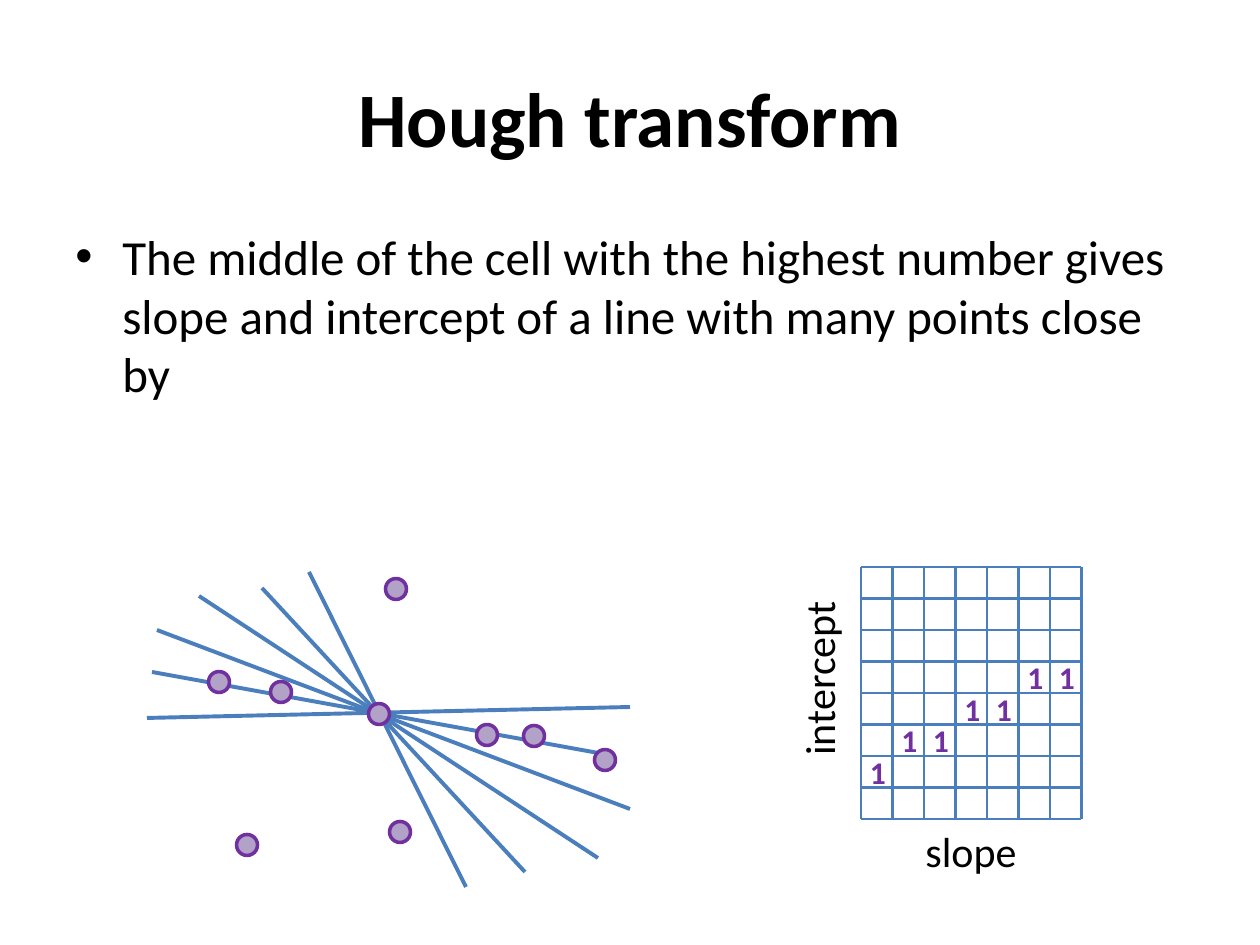
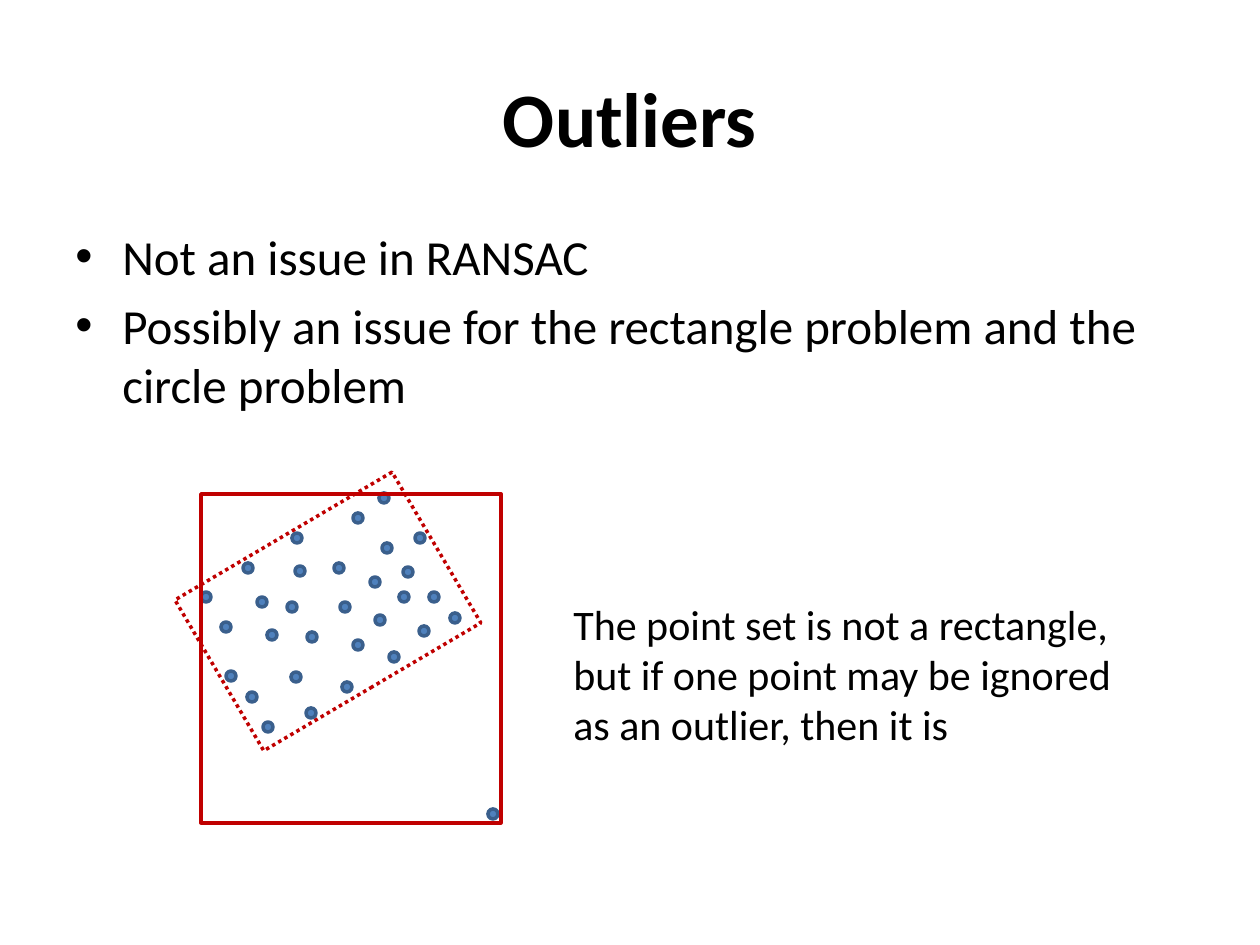
from pptx import Presentation
from pptx.dml.color import RGBColor
from pptx.enum import dml, shapes, text
from pptx.oxml.ns import qn
from pptx.util import Pt
from lxml import etree

# Shared look
PX = 914400 / 126
FONT = "Calibri"
HEX = {"ink": "000000", "line": "4B7EBC", "lilac": "B3A2C7", "violet": "7030A0",
       "blue": "4F81BD", "navy": "3A5F8C", "red": "C00000"}
TITLE = (63, 38, 1134, 157)
BODY = (63, 220, 1134, 346)

# Hough transform: rays through one point, points, and votes per (column, row)
HOUGH = ["The middle of the cell with the highest number gives slope and "
         "intercept of a line with many points close by"]
RAYS = [(152, 672, 615, 756), (147, 718, 630, 707), (157, 630, 630, 809),
        (199, 596, 598, 858), (262, 588, 525, 872), (309, 572, 466, 887)]
POINTS = [(379, 714), (605, 760), (487, 735), (534, 736), (281, 692),
          (219, 682), (400, 832), (396, 589), (247, 845)]
VOTES = [(0, 6), (1, 5), (2, 5), (3, 4), (4, 4), (5, 3), (6, 3)]
GRID = {"x": 861, "y": 567, "cols": 7, "rows": 8, "cell": 252 / 8}

# Outliers: the point cloud ends with the outlier
OUTLIERS = ["Not an issue in RANSAC",
            "Possibly an issue for the rectangle problem and the circle problem"]
REMARK = ("The point set is not a rectangle, but if one point may be ignored "
          "as an outlier, then it is")
CLOUD = [(206, 597), (248, 568), (358, 518), (297, 538), (226, 627), (231, 676),
         (262, 602), (252, 697), (268, 727), (272, 635), (292, 607), (339, 568),
         (384, 498), (387, 548), (312, 637), (296, 677), (300, 571), (347, 687),
         (311, 713), (358, 645), (375, 582), (380, 620), (394, 657), (420, 538),
         (408, 572), (404, 597), (424, 631), (434, 597), (345, 607), (455, 618),
         (493, 814)]
TIGHT = (202, 524, 252, 175)
LOOSE = (201, 494, 300, 329)


def emu(*nums):
    return [round(n * PX) for n in nums]


def rgb(name):
    return RGBColor.from_string(HEX[name])


def write(slide, lines, box, size=24, color="ink", bold=False, align="LEFT",
          anchor="TOP", wrap=True, bullet=False, turn=0):
    item = slide.shapes.add_textbox(*emu(*box))
    item.rotation = turn
    frame = item.text_frame
    frame.word_wrap = wrap
    frame.vertical_anchor = text.MSO_ANCHOR[anchor]
    for i, line in enumerate(lines):
        para = frame.paragraphs[0] if i == 0 else frame.add_paragraph()
        para.text = line
        para.alignment = text.PP_ALIGN[align]
        if i:
            para.space_before = Pt(6)
        if bullet:
            props = para._p.get_or_add_pPr()
            hang, = emu(47)
            props.set("marL", str(hang))
            props.set("indent", str(-hang))
            etree.SubElement(props, qn("a:buFont")).set("typeface", "Arial")
            etree.SubElement(props, qn("a:buChar")).set("char", "•")
        font = para.font
        font.name, font.size, font.bold = FONT, Pt(size), bold
        font.color.rgb = rgb(color)


def draw(slide, kind, box, line, fill=None):
    item = slide.shapes.add_shape(shapes.MSO_SHAPE[kind], *emu(*box))
    item.shadow.inherit = False
    item.line.color.rgb = rgb(line)
    item.line.width = Pt(2)
    if fill:
        item.fill.solid()
        item.fill.fore_color.rgb = rgb(fill)
    else:
        item.fill.background()
    return item


def dots(slide, spots, size, line, fill):
    for x, y in spots:
        draw(slide, "OVAL", (x - size / 2, y - size / 2, size, size), line, fill)


def rule(slide, ends, width):
    item = slide.shapes.add_connector(shapes.MSO_CONNECTOR.STRAIGHT, *emu(*ends))
    item.line.color.rgb = rgb("line")
    item.line.width = Pt(width)
    etree.SubElement(item._element.spPr, qn("a:effectLst"))


def page(deck, title, points):
    slide = deck.slides.add_slide(deck.slide_layouts[6])
    write(slide, [title], TITLE, size=44, bold=True, align="CENTER", anchor="MIDDLE")
    write(slide, points, BODY, size=28, bullet=True)
    return slide


def hough(deck):
    slide = page(deck, "Hough transform", HOUGH)
    # Vote grid with its axis names
    x, y, cell = GRID["x"], GRID["y"], GRID["cell"]
    right, base = x + GRID["cols"] * cell, y + GRID["rows"] * cell
    for i in range(GRID["cols"] + 1):
        rule(slide, (x + i * cell, y, x + i * cell, base), 1.5)
    for i in range(GRID["rows"] + 1):
        rule(slide, (x, y + i * cell, right, y + i * cell), 1.5)
    write(slide, ["slope"], (913, 819, 117, 63), wrap=False)
    write(slide, ["intercept"], (728, 646, 181, 63), wrap=False, turn=270)
    # Votes centred in their cells
    wide, high = 42, 50
    for col, row in VOTES:
        left = x + (col + 0.5) * cell - wide / 2 + 1
        top = y + (row + 0.5) * cell - high / 2
        write(slide, ["1"], (left, top, wide, high), size=18, color="violet",
              bold=True, align="CENTER", wrap=False)
    # Rays and points
    for ray in RAYS:
        rule(slide, ray, 2.25)
    dots(slide, POINTS, 21, "violet", "lilac")


def outliers(deck):
    slide = page(deck, "Outliers", OUTLIERS)
    dots(slide, CLOUD, 10, "navy", "blue")
    tight = draw(slide, "RECTANGLE", TIGHT, "red")
    tight.rotation = 329.5
    tight.line.dash_style = dml.MSO_LINE.ROUND_DOT
    draw(slide, "RECTANGLE", LOOSE, "red")
    write(slide, [REMARK], (561, 592, 605, 165))


def main():
    deck = Presentation()
    deck.slide_width, deck.slide_height = emu(1260, 945)
    hough(deck)
    outliers(deck)
    deck.save("out.pptx")


if __name__ == "__main__":
    main()
